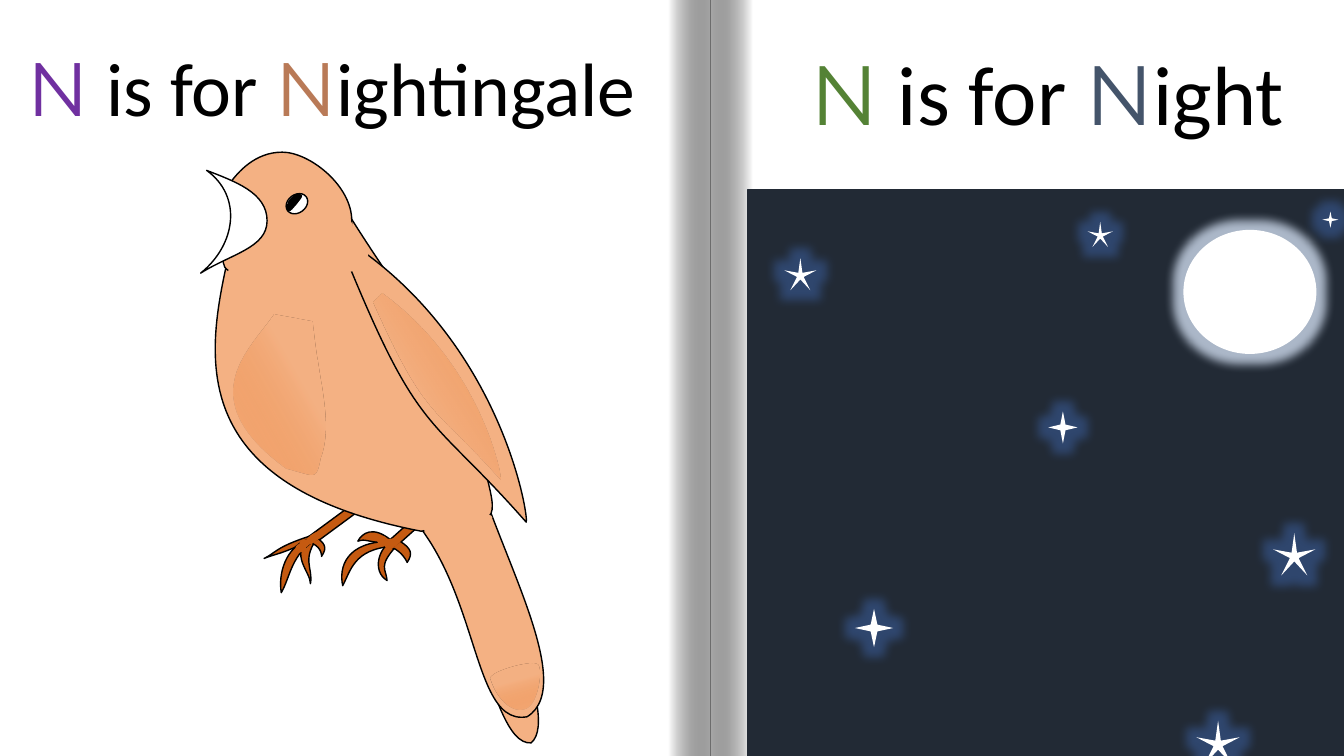
from math import cos, radians, sin

from pptx import Presentation
from pptx.dml.color import RGBColor
from pptx.enum.shapes import MSO_SHAPE
from pptx.enum.text import MSO_AUTO_SIZE, PP_ALIGN
from pptx.oxml import parse_xml
from pptx.oxml.ns import nsdecls, qn
from pptx.util import Pt

RECT = MSO_SHAPE.RECTANGLE
OVAL = MSO_SHAPE.OVAL
DISC = MSO_SHAPE.FLOWCHART_CONNECTOR
STAR4 = MSO_SHAPE.STAR_4_POINT
STAR5 = MSO_SHAPE.STAR_5_POINT
CENTER = PP_ALIGN.CENTER
GROW = MSO_AUTO_SIZE.SHAPE_TO_FIT_TEXT

WHITE, BLACK, NIGHT = "FFFFFF", "000000", "222A35"
PEACH, ORANGE, RUST = "F4B183", "ED7D31", "C55A11"
GRID = Pt(0.72)  # one step of the bird outlines
STEPS = 40

# Outlines: turn in degrees, a start, then lines (x, y) and curves
# (two controls and an end).
TAIL = [
    (340.1, (370, 467), (451, 458), (476, 551, 559, 710, 527, 737),
     (481, 740, 474, 538, 370, 467)),
    (340.1, (345, 469), (467, 444), (485, 533, 576, 678, 523, 711),
     (456, 723, 484, 521, 345, 469)),
]
TIP = (344.2, (487, 673), (489, 666, 527, 655, 533, 660),
       (538, 665, 533, 700, 520, 703), (508, 707, 493, 693, 487, 673))
BACK_TOE = (103.3, (388, 536), (386, 539), (363, 538, 363, 534, 355, 537),
            (359, 529, 370, 521, 388, 536))
BODY = (345.7, (237, 204), (327, 181), (398, 304, 473, 376, 482, 469),
        (497, 527, 490, 513, 418, 527), (138, 473, 222, 302, 237, 204))
HEAD = (0, (235, 217), (236, 203, 221, 193, 228, 182),
        (236, 171, 253, 151, 280, 151), (307, 151, 349, 184, 349, 219),
        (349, 254, 297, 268, 280, 271), (263, 274, 230, 276, 223, 265),
        (216, 254, 234, 230, 235, 217))
BEAK = (0, (199, 271), (229, 252, 265, 246, 265, 219),
        (265, 191, 233, 180, 205, 169), (241, 195, 234, 243, 199, 271))
PUPIL = (322.9, (286, 209), (285, 207, 284, 201, 290, 196),
         (296, 191, 298, 192, 299, 194), (300, 195, 296, 199, 294, 202),
         (292, 204, 287, 211, 286, 209))
WING = (318.3, (347, 265), (361, 250), (501, 352, 525, 516, 522, 518),
        (428, 411, 417, 435, 347, 265))
TOES = [
    (63.1, (388, 537), (389, 542), (351, 545, 348, 566, 340, 581),
     (336, 563, 343, 537, 388, 537)),
    (16.9, (388, 538), (393, 542), (375, 562, 383, 564, 384, 576),
     (368, 566, 377, 542, 388, 538)),
    (27.7, (307, 532), (317, 531), (298, 555, 311, 563, 308, 579),
     (308, 567, 287, 551, 307, 532)),
    (86.1, (307, 532), (311, 535), (276, 551, 278, 548, 262, 554),
     (273, 549, 273, 543, 307, 532)),
    (300.8, (311, 531), (310, 539), (320, 544, 319, 552, 319, 552),
     (325, 543, 323, 539, 311, 531)),
    (302.5, (397, 537), (389, 543), (400, 548, 404, 558, 404, 558),
     (410, 549, 408, 544, 397, 537)),
    (65.7, (305, 535), (315, 535), (289, 548, 288, 573, 279, 588),
     (276, 569, 283, 544, 305, 535)),
]
BELLY = (10.6, (272, 312), (310, 319), (315, 377, 331, 418, 318, 454),
         (313, 478, 313, 472, 284, 465), (188, 395, 249, 346, 272, 312))
PLUME = (318.2, (371, 300), (380, 291), (478, 363, 498, 475, 496, 476),
         (430, 401, 423, 418, 371, 300))

# Ovals that hide seams: box in points, then turn in degrees.
SEAMS = [
    ((243.4, 180.7, 21.6, 10.8), 319.5),
    ((162.7, 184.3, 59, 20.2), 0),
    ((201.6, 169.9, 59, 20.2), 311.3),
    ((302.4, 368.6, 49.7, 10.8), 349.5),
]
JOINTS = [
    ((221, 377.3, 5.8, 14.4), 54.1),
    ((278.6, 380.9, 5.8, 13), 54.1),
    ((275, 383.8, 6.5, 8.6), 74.6),
    ((270, 382.3, 5.8, 7.2), 74.6),
    ((214.6, 384.5, 5.8, 7.2), 74.6),
    ((211.7, 387.4, 6.5, 7.9), 74.6),
    ((278.6, 388.8, 2.9, 2.9), 74.6),
]
STARS = [
    (STAR5, (909.4, 380.9, 30.2, 30.2)), (STAR5, (560.2, 184.3, 23, 23)),
    (STAR4, (944.6, 151.2, 11.5, 11.5)), (STAR4, (748.8, 293.8, 20.9, 23)),
    (STAR4, (610.6, 434.9, 27.4, 27.4)), (STAR5, (854.6, 514.8, 31, 31)),
    (STAR5, (776.9, 158.4, 18, 18)),
]


def color(code):
    return RGBColor.from_string(code)


def paint(shape, fill, line, turn):
    shape.rotation = turn
    shape.shadow.inherit = False
    shape.fill.solid()
    shape.fill.fore_color.rgb = color(fill)
    if line:
        shape.line.color.rgb = color(line)
        shape.line.width = Pt(1)
    else:
        shape.line.fill.background()
    return shape


def preset(shapes, kind, box, fill, line=None, turn=0):
    return paint(shapes.add_shape(kind, *map(Pt, box)), fill, line, turn)


def bend(a, b, c, d):
    """Return points along a cubic curve."""
    for step in range(STEPS + 1):
        t = step / STEPS
        u = 1 - t
        yield a * u ** 3 + 3 * b * u * u * t + 3 * c * u * t * t + d * t ** 3


def outline(shapes, data, fill, line=BLACK):
    """Draw slide points as a curved shape inside a turned frame."""
    turn, *parts = data
    spin = complex(cos(radians(turn)), sin(radians(turn)))
    parts = [[complex(x, y) * GRID / spin for x, y in zip(p[::2], p[1::2])]
             for p in parts]
    ends = [p[-1] for p in parts]
    edge = list(ends)
    for last, part in zip(ends, parts[1:]):
        if len(part) == 3:
            edge += bend(last, *part)
    xs, ys = [p.real for p in edge], [p.imag for p in edge]
    corner = complex(min(xs), min(ys))
    size = complex(max(xs), max(ys)) - corner
    place = (corner + size / 2) * spin - size / 2

    pen = shapes.build_freeform(ends[0].real, ends[0].imag)
    pen.add_line_segments([(p.real, p.imag) for p in ends[1:]], close=True)
    shape = pen.convert_to_shape()
    shape.left, shape.top = round(place.real), round(place.imag)
    shape.width, shape.height = round(size.real), round(size.imag)
    route = shape.element.spPr.find(".//" + qn("a:path"))
    route.set("w", str(shape.width))
    route.set("h", str(shape.height))
    for old, part in zip(list(route), parts):
        tag = "cubicBezTo" if len(part) == 3 else "lnTo"
        if part is parts[0]:
            tag = "moveTo"
        spots = [p - corner for p in part]
        marks = "".join(f'<a:pt x="{round(p.real)}" y="{round(p.imag)}"/>'
                        for p in spots)
        route.replace(old, parse_xml(
            f'<a:{tag} {nsdecls("a")}>{marks}</a:{tag}>'))
    return paint(shape, fill, line, turn)


def fade(shape, start, end, angle):
    """Blend between two (position, colour, opacity) stops in percent."""
    stops = "".join(
        f'<a:gs pos="{pos * 1000}"><a:srgbClr val="{code}">'
        f'<a:alpha val="{alpha * 1000}"/></a:srgbClr></a:gs>'
        for pos, code, alpha in (start, end))
    blend = parse_xml(
        f'<a:gradFill {nsdecls("a")} rotWithShape="1"><a:gsLst>{stops}'
        f'</a:gsLst><a:lin ang="{angle * 60000}" scaled="0"/></a:gradFill>')
    props = shape.element.spPr
    props.replace(props.find(qn("a:solidFill")), blend)


def glow(shape, code, alpha):
    halo = parse_xml(
        f'<a:glow {nsdecls("a")} rad="{Pt(14)}"><a:srgbClr val="{code}">'
        f'<a:alpha val="{alpha * 1000}"/></a:srgbClr></a:glow>')
    shape.element.spPr.find(qn("a:effectLst")).append(halo)


def title(shapes, box, size, first, second, rest):
    frame = shapes.add_textbox(*map(Pt, box)).text_frame
    frame.word_wrap = True
    frame.auto_size = GROW
    para = frame.paragraphs[0]
    para.alignment = CENTER
    for text, face, code in (("N", "Montserrat", first),
                             (" is for ", "Calibri", BLACK),
                             ("N", "Montserrat", second),
                             (rest, "Calibri", BLACK)):
        run = para.add_run()
        run.text = text
        run.font.size = Pt(size)
        run.font.name = face
        run.font.color.rgb = color(code)


def draw_bird(shapes):
    soft = (38, PEACH, 100), (100, ORANGE, 0)
    for feather in TAIL:
        outline(shapes, feather, PEACH)
    fade(outline(shapes, TIP, PEACH, None), *soft, 90)
    for left, top, turn in ((242.6, 339.1, 53.6), (297.4, 340.6, 48.1)):
        preset(shapes, RECT, (left, top, 6.5, 59), RUST, BLACK, turn)
    for part, fill in ((BACK_TOE, RUST), (BODY, PEACH), (HEAD, PEACH),
                       (BEAK, WHITE)):
        outline(shapes, part, fill)
    preset(shapes, OVAL, (203.8, 139, 16.6, 13), WHITE, BLACK, 322.9)
    outline(shapes, PUPIL, BLACK)
    outline(shapes, WING, PEACH)
    for toe in TOES:
        outline(shapes, toe, RUST)
    for box, turn in SEAMS:
        preset(shapes, OVAL, box, PEACH, turn=turn)
    fade(outline(shapes, BELLY, PEACH, None), *soft, 140)
    fade(outline(shapes, PLUME, PEACH, None), *soft, 10)
    for box, turn in JOINTS:
        preset(shapes, OVAL, box, RUST, turn=turn)


def main():
    deck = Presentation()
    deck.slide_width, deck.slide_height = Pt(960), Pt(540)
    slide = deck.slides.add_slide(deck.slide_layouts[6])
    slide.background.fill.solid()
    slide.background.fill.fore_color.rgb = color(BLACK)
    shapes = slide.shapes
    book = shapes.add_group_shape().shapes
    preset(book, RECT, (0, 0, 960, 540), WHITE)
    for left, angle in ((507.6, 180), (477.4, 0)):
        fold = preset(book, RECT, (left, 0, 30.2, 540), WHITE)
        fade(fold, (0, WHITE, 100), (100, BLACK, 34), angle)
    preset(shapes, RECT, (534.2, 135.4, 426.2, 422.6), NIGHT, NIGHT)
    moon = preset(shapes, DISC, (845.3, 164.2, 95, 88.6), WHITE)
    glow(moon, "ADB9CA", 100)
    title(shapes, (531.4, 25.9, 433.4, 79.9), 60, "548235", "44546A", "ight")
    title(shapes, (2.5, 25.5, 481, 72.7), 54, "7030A0", "B97A57",
          "ightingale ")
    draw_bird(shapes.add_group_shape().shapes)
    sky = shapes.add_group_shape().shapes
    for kind, box in STARS:
        star = preset(sky, kind, box, WHITE)
        if kind == STAR5:
            star.adjustments[0] = 0.103
        glow(star, "4472C4", 40)
    deck.save("out.pptx")


if __name__ == "__main__":
    main()
